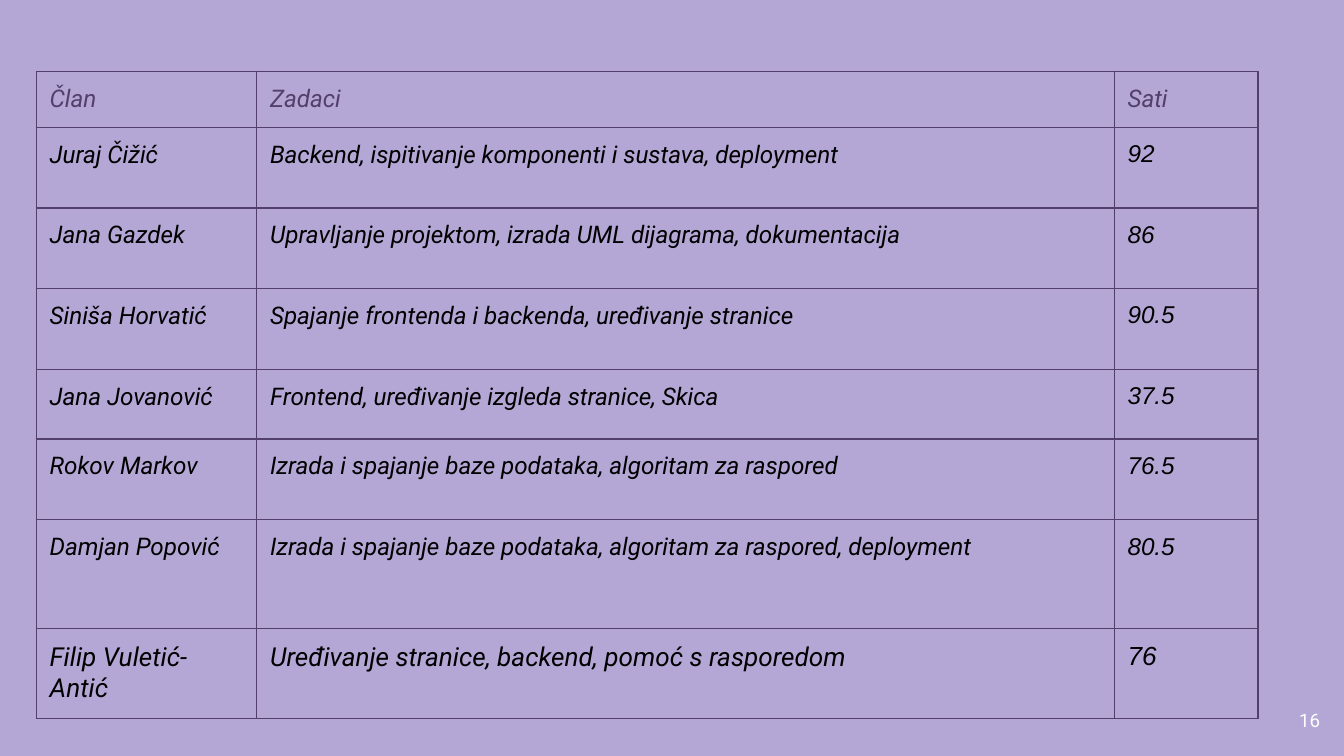
import pptx
import pptx.dml.color
import pptx.enum.text
import pptx.oxml
import pptx.oxml.ns
import pptx.util
from pptx.util import Inches

COLORS = {
    "background": "B4A7D6",
    "purple": "533F6B",
    "black": "000000",
    "white": "FFFFFF",
}
MARGIN = Inches(0.1)
COLUMN_WIDTHS = [1.64, 6.38, 1.07]
ROW_HEIGHTS = [0.4, 0.6, 0.6, 0.6, 0.52, 0.6, 0.81, 0.63]
HEADER = ("Član", "Zadaci", "Sati")
MEMBERS = [
    ("Juraj Čižić", "Backend, ispitivanje komponenti i sustava, deployment", "92"),
    ("Jana Gazdek", "Upravljanje projektom, izrada UML dijagrama, dokumentacija", "86"),
    ("Siniša Horvatić", "Spajanje frontenda i backenda, uređivanje stranice", "90.5"),
    ("Jana Jovanović", "Frontend, uređivanje izgleda stranice, Skica", "37.5"),
    ("Rokov Markov", "Izrada i spajanje baze podataka, algoritam za raspored", "76.5"),
    ("Damjan Popović", "Izrada i spajanje baze podataka, algoritam za raspored, deployment", "80.5"),
    ("Filip Vuletić-Antić", "Uređivanje stranice, backend, pomoć s rasporedom", "76"),
]


def rgb(name):
    return pptx.dml.color.RGBColor.from_string(COLORS[name])


def write_text(text_frame, text, size=13, font="Roboto", color="black",
               italic=False, align=pptx.enum.text.PP_ALIGN.LEFT):
    paragraph = text_frame.paragraphs[0]
    paragraph.alignment = align
    run = paragraph.add_run()
    run.text = text
    run.font.size = pptx.util.Pt(size)
    run.font.name = font
    run.font.bold = False
    run.font.italic = italic
    run.font.color.rgb = rgb(color)


def set_margins(target):
    """Give a cell or a text frame the same inset on every side."""
    target.margin_left = target.margin_right = MARGIN
    target.margin_top = target.margin_bottom = MARGIN


def set_borders(cell, color, width=0.75):
    properties = cell._tc.get_or_add_tcPr()
    namespace = pptx.oxml.ns.nsdecls("a")
    for index, side in enumerate("LRTB"):
        line = pptx.oxml.parse_xml(
            f'<a:ln{side} {namespace} w="{pptx.util.Pt(width)}">'
            f'<a:solidFill><a:srgbClr val="{COLORS[color]}"/></a:solidFill>'
            f'</a:ln{side}>')
        properties.insert(index, line)


def add_hours_table(slide):
    rows = [HEADER] + MEMBERS
    table = slide.shapes.add_table(
        len(rows), len(HEADER), Inches(0.27), Inches(0.53),
        Inches(sum(COLUMN_WIDTHS)), Inches(sum(ROW_HEIGHTS))).table
    table.first_row = False
    table.horz_banding = False
    for column, width in zip(table.columns, COLUMN_WIDTHS):
        column.width = Inches(width)
    for row, height in zip(table.rows, ROW_HEIGHTS):
        row.height = Inches(height)

    for row_index, row in enumerate(rows):
        is_header = row_index == 0
        is_last = row_index == len(rows) - 1
        for column_index, text in enumerate(row):
            is_hours = column_index == 2 and not is_header
            cell = table.cell(row_index, column_index)
            cell.fill.background()
            set_margins(cell)
            set_borders(cell, "purple")
            write_text(cell.text_frame, text, italic=True,
                       size=14 if is_last else 13,
                       font="Arial" if is_hours else "Roboto",
                       color="purple" if is_header else "black")


def add_slide_number(slide, number):
    box = slide.shapes.add_textbox(
        Inches(9.32), Inches(5.14), Inches(0.6), Inches(0.43))
    text_frame = box.text_frame
    text_frame.word_wrap = True
    text_frame.vertical_anchor = pptx.enum.text.MSO_ANCHOR.MIDDLE
    set_margins(text_frame)
    write_text(text_frame, number, size=10, color="white",
               align=pptx.enum.text.PP_ALIGN.RIGHT)


def main():
    presentation = pptx.Presentation()
    presentation.slide_width = Inches(10)
    presentation.slide_height = Inches(10 * 9 / 16)
    slide = presentation.slides.add_slide(presentation.slide_layouts[6])
    slide.background.fill.solid()
    slide.background.fill.fore_color.rgb = rgb("background")
    add_slide_number(slide, "16")
    add_hours_table(slide)
    presentation.save("out.pptx")


if __name__ == "__main__":
    main()
